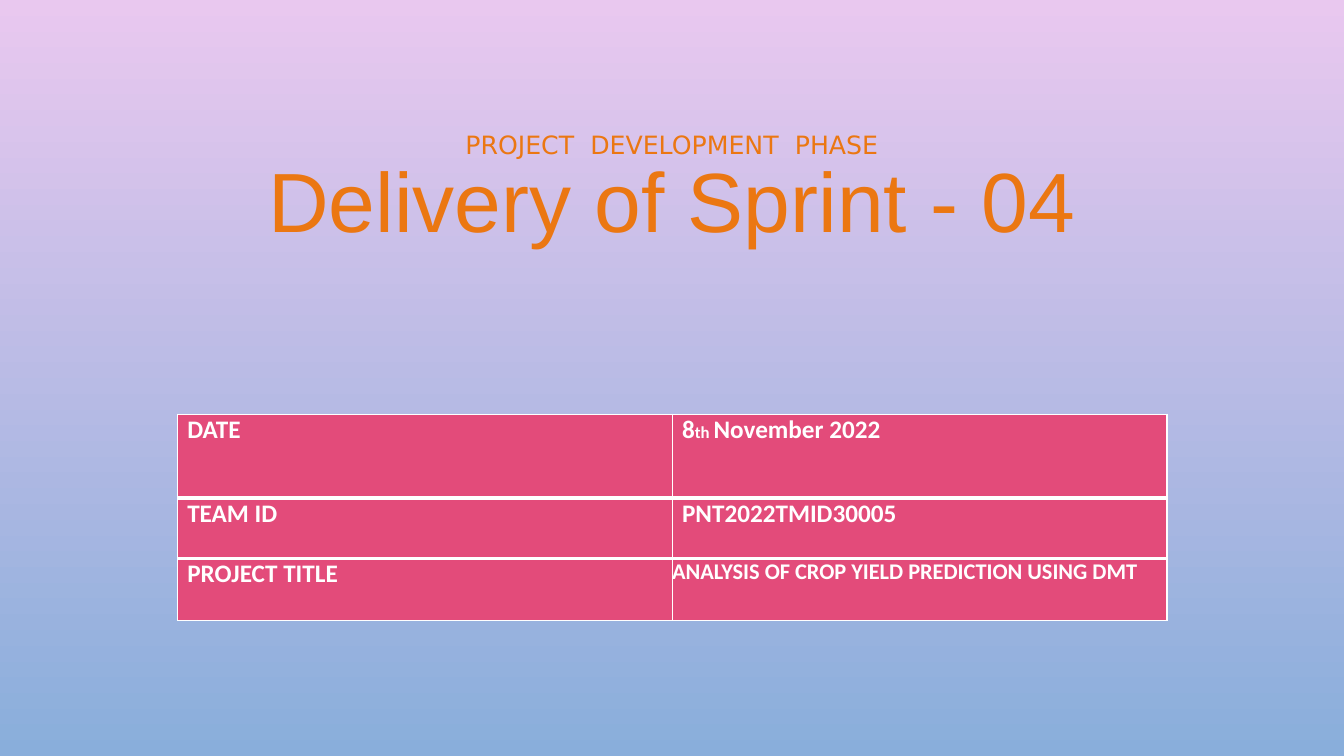
"""Builds the opening slide of a sprint delivery report."""
import pptx
import pptx.util
import pptx.oxml
import pptx.dml.color
import pptx.enum.text
from pptx.oxml.ns import qn
from lxml import etree

Cm, Pt = pptx.util.Cm, pptx.util.Pt

HUES = {"top": "E9C8EF", "base": "89AEDB", "title": "EB7712",
        "cell": "E34B7A", "white": "FFFFFF"}
PHASE = "PROJECT DEVELOPMENT PHASE"
SPRINT = "Delivery of Sprint - 04"
ROWS = [
    {"tall": 2.11, "lead": 3,
     "cells": [[("DATE", 18)], [("8", 18), ("th ", 12), ("November 2022", 18)]]},
    {"tall": 1.52, "lead": 1.6,
     "cells": [[("TEAM ID", 18)], [("PNT2022TMID30005", 18)]]},
    {"tall": 1.56, "lead": 2.6,
     "cells": [[("PROJECT TITLE", 18)],
               [("ANALYSIS OF CROP YIELD PREDICTION USING DMT", 16)]]},
]
LEFT, TOP, COL = 4.47, 10.44, 12.47
THIN, THICK = 1, 3


def hue(name):
    return pptx.dml.color.RGBColor.from_string(HUES[name])


def write(para, text, size, font, color, bold=False, gap=0):
    run = para.add_run()
    run.text = text
    run.font.size, run.font.name, run.font.bold = Pt(size), font, bold
    run.font.color.rgb = hue(color)
    if gap:
        run.font._element.set("spc", str(gap))


def edge(cell, side, width):
    line = etree.SubElement(cell._tc.get_or_add_tcPr(), qn("a:ln" + side),
                            w=str(Pt(width)))
    fill = etree.SubElement(line, qn("a:solidFill"))
    etree.SubElement(fill, qn("a:srgbClr"), val=HUES["white"])


def add_title(slide):
    title = slide.shapes.title
    title.left, title.top = Cm(4.23), Cm(3.12)
    title.width, title.height = Cm(25.4), Cm(5.49)
    frame = title.text_frame
    frame.auto_size = pptx.enum.text.MSO_AUTO_SIZE.NONE
    frame.word_wrap = True
    frame.vertical_anchor = pptx.enum.text.MSO_ANCHOR.BOTTOM
    frame.margin_bottom = Cm(2.3)
    para = frame.paragraphs[0]
    para.alignment = pptx.enum.text.PP_ALIGN.CENTER
    para.line_spacing = 0.9
    for i, word in enumerate(PHASE.split()):
        if i:
            write(para, " ", 18, "DejaVu Sans", "title", gap=570)
        write(para, word, 18, "DejaVu Sans", "title")
    para.add_line_break()
    write(para, SPRINT, 60, "Arial", "title")


def add_facts(slide):
    tall = sum(row["tall"] for row in ROWS)
    table = slide.shapes.add_table(len(ROWS), 2, Cm(LEFT), Cm(TOP),
                                   Cm(2 * COL), Cm(tall)).table
    for col in table.columns:
        col.width = Cm(COL)
    last = len(ROWS) - 1
    for r, row in enumerate(ROWS):
        table.rows[r].height = Cm(row["tall"])
        for c, runs in enumerate(row["cells"]):
            cell = table.cell(r, c)
            flush = (r, c) == (last, 1)
            cell.margin_left = Cm(0 if flush else 0.25)
            cell.margin_right = cell.margin_top = cell.margin_bottom = 0
            widths = {"L": THIN, "R": THIN, "T": THICK if r else THIN,
                      "B": THICK if r < last else THIN}
            for side, width in widths.items():
                edge(cell, side, width)
            cell.fill.solid()
            cell.fill.fore_color.rgb = hue("cell")
            para = cell.text_frame.paragraphs[0]
            para.space_before = Pt(row["lead"])
            for text, size in runs:
                write(para, text, size, "Calibri", "white", bold=True)


def main():
    deck = pptx.Presentation()
    deck.slide_width, deck.slide_height = Cm(33.87), Cm(19.05)
    slide = deck.slides.add_slide(deck.slide_layouts[5])
    fill = slide.background.fill
    fill.gradient()
    fill.gradient_angle = 270
    for stop, name in zip(fill.gradient_stops, ("top", "base")):
        stop.color.rgb = hue(name)
    add_title(slide)
    add_facts(slide)
    deck.save("out.pptx")


if __name__ == "__main__":
    main()
